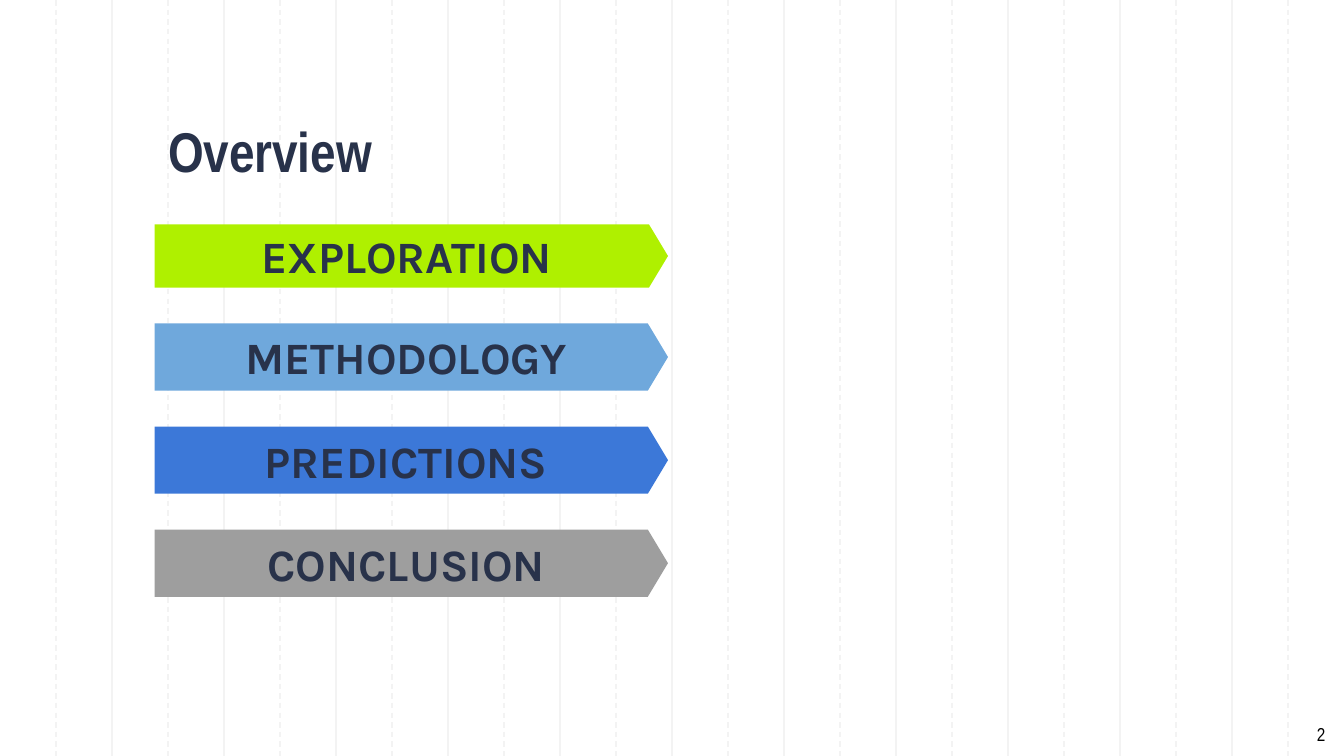
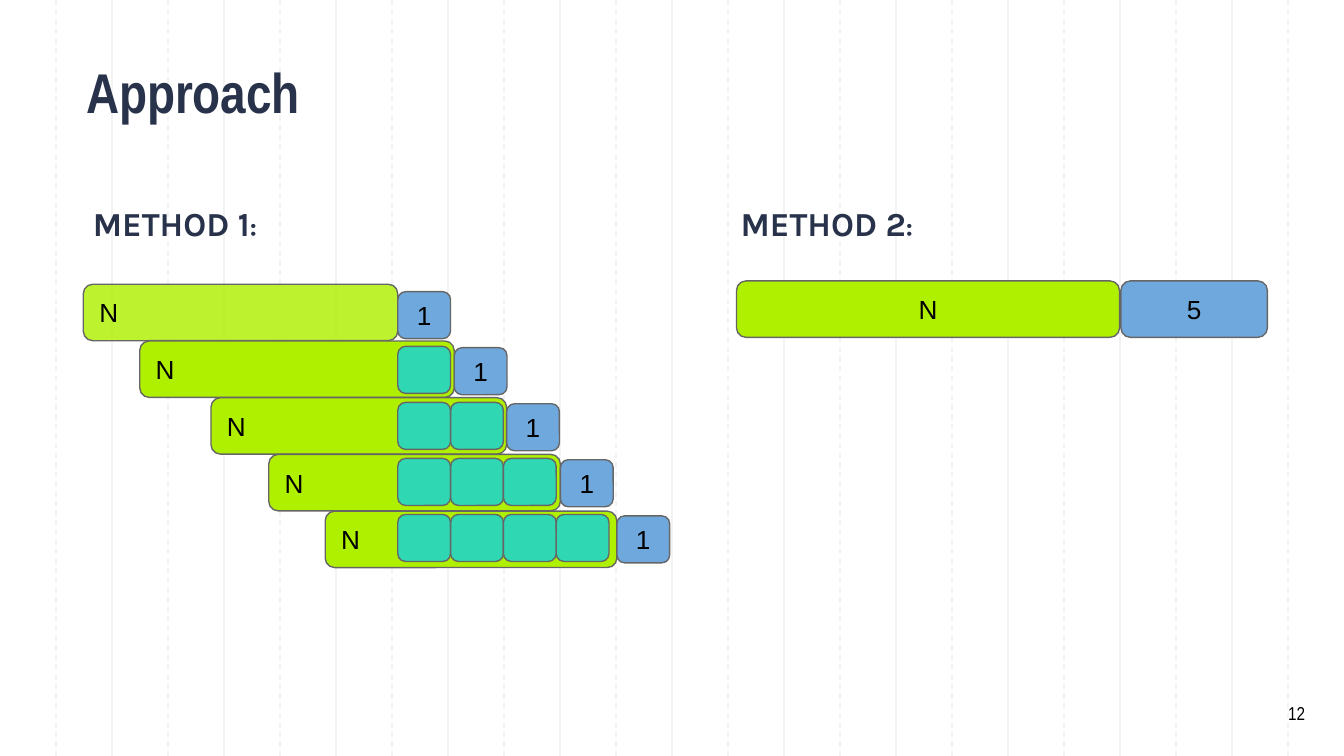
from lxml import etree
from pptx import Presentation
from pptx.dml.color import RGBColor
from pptx.enum.dml import MSO_LINE
from pptx.enum.shapes import MSO_CONNECTOR, MSO_SHAPE
from pptx.enum.text import MSO_ANCHOR, MSO_AUTO_SIZE, PP_ALIGN
from pptx.oxml.ns import qn
from pptx.util import Inches, Pt

COLORS = {
    "ink": "28324A", "black": "000000", "grid": "F3F3F3", "outline": "666666",
    "lime": "AFF000", "sky": "6FA8DC", "blue": "3C78D8", "gray": "9E9E9E",
    "cyan": "00CEF6",
}
HEAD_FONT, LABEL_FONT, BOX_FONT = "Arial Narrow", "Karla", "Arial"
CELL = Inches(0.1)  # the slide is 100 columns wide and 56.25 rows high
COLS, ROWS = 100, 56.25
LEFT, CENTER, RIGHT = PP_ALIGN.LEFT, PP_ALIGN.CENTER, PP_ALIGN.RIGHT
TOP, MIDDLE, BOTTOM = MSO_ANCHOR.TOP, MSO_ANCHOR.MIDDLE, MSO_ANCHOR.BOTTOM
BOX_H = 4.2
UNIT_W, UNIT_H = 3.93, 3.5


def rgb(name):
    return RGBColor.from_string(COLORS[name])


def cells(*lengths):
    return [round(n * CELL) for n in lengths]


def style_run(r, font, size, color="ink", bold=False):
    r.font.name, r.font.size, r.font.bold = font, Pt(size), bold
    r.font.color.rgb = rgb(color)


def write(sp, text, font, size, color="ink", bold=False, align=LEFT, anchor=TOP):
    """Fill a shape with one styled paragraph and return the paragraph."""
    tf = sp.text_frame
    tf.text = text
    tf.word_wrap, tf.auto_size = True, MSO_AUTO_SIZE.NONE
    tf.vertical_anchor = anchor
    tf.margin_left = tf.margin_right = tf.margin_top = tf.margin_bottom = CELL
    p = tf.paragraphs[0]
    p.alignment, p.space_before = align, Pt(0)
    style_run(p.runs[0], font, size, color, bold)
    return p


def move(sp, *area):
    sp.left, sp.top, sp.width, sp.height = cells(*area)


def add_title(s, text, *area):
    move(s.shapes.title, *area)
    write(s.shapes.title, text, HEAD_FONT, 30, bold=True, anchor=BOTTOM)


def add_heading(sp, text, x):
    """Turn a body placeholder into an unbulleted heading with a smaller colon."""
    move(sp, x, 14.1, 40.2, 5.3)
    p = write(sp, text, LABEL_FONT, 18, bold=True)
    r = p.add_run()
    r.text = ":"
    style_run(r, LABEL_FONT, 14, bold=True)
    pPr = p._p.get_or_add_pPr()
    pPr.set("marL", "0")
    pPr.set("indent", "0")
    etree.SubElement(pPr, qn("a:buNone"))


def add_page_number(s, number, x, y):
    sp = s.shapes.add_textbox(*cells(x, y, 6, 3.5))
    write(sp, str(number), HEAD_FONT, 10, "black", align=RIGHT)


def add_filled(s, kind, area, adj, fill, alpha=None):
    sp = s.shapes.add_shape(kind, *cells(*area))
    sp.shadow.inherit = False
    sp.adjustments[0] = adj
    sp.fill.solid()
    sp.fill.fore_color.rgb = rgb(fill)
    if alpha:
        color = sp.element.spPr.find(".//" + qn("a:srgbClr"))
        etree.SubElement(color, qn("a:alpha"), val=str(alpha * 1000))
    return sp


def add_banner(s, text, fill, y, h):
    sp = add_filled(s, MSO_SHAPE.PENTAGON, (11.5, y, 38.2, h), 0.3, fill)
    sp.line.fill.background()
    write(sp, text, LABEL_FONT, 24, bold=True, align=CENTER, anchor=MIDDLE)


def add_box(s, area, fill, text="", align=CENTER, alpha=None):
    sp = add_filled(s, MSO_SHAPE.ROUNDED_RECTANGLE, area, 0.167, fill, alpha)
    sp.line.color.rgb, sp.line.width = rgb("outline"), Pt(0.75)
    if text:
        write(sp, text, BOX_FONT, 14, "black", align=align, anchor=MIDDLE)


def add_master_grid(prs, s):
    """Draw 24 half columns, dashed at the odd ones, and move them to the master."""
    for i in range(1, 24):
        x = COLS * i / 24
        line = s.shapes.add_connector(MSO_CONNECTOR.STRAIGHT, *cells(x, 0, x, ROWS))
        line.line.color.rgb, line.line.width = rgb("grid"), Pt(0.75)
        if i % 2:
            line.line.dash_style = MSO_LINE.DASH
        etree.SubElement(line.element.spPr, qn("a:effectLst"))
        line.element.nvCxnSpPr.cNvPr.set("id", str(100 + i))
        prs.slide_master.shapes.element.insert(1 + i, line.element)


def build_overview(s):
    add_title(s, "Overview", 11.5, 6.9, 76.5, 7.8)
    banners = [("EXPLORATION", "lime", 4.7), ("METHODOLOGY", "sky", 5),
               ("PREDICTIONS", "blue", 5), ("CONCLUSION", "gray", 5)]
    for i, (text, fill, h) in enumerate(banners):
        add_banner(s, text, fill, 21.4 + 7.67 * i - h, h)
    add_page_number(s, 2, 93.6, 52.8)


def add_rolling_forecast(s):
    """Each step predicts one value and feeds it to the next step's window."""
    first_result = 29.6
    windows = [(6.2, 29.6), (10.4, 33.8), (15.7, 37.7), (20, 41.7), (24.2, 45.9)]
    for i, (start, end) in enumerate(windows):
        add_box(s, (start, 21.15 + 4.22 * i, end - start, BOX_H), "lime", "N",
                LEFT, None if i else 82)
        y = 21.7 + 4.17 * i
        add_box(s, (end, y, UNIT_W, UNIT_H), "sky", "1")
        for j in range(i):
            add_box(s, (first_result + UNIT_W * j, y - 0.1, UNIT_W, UNIT_H),
                    "cyan", alpha=73)


def build_approach(s):
    add_title(s, "Approach", 5.4, 2.5, 88.2, 7.8)
    for number, x in ((1, 5.9), (2, 54.1)):
        add_heading(s.placeholders[number], f"METHOD {number}", x)
    add_rolling_forecast(s)
    add_box(s, (54.8, 20.9, 28.5, BOX_H), "lime", "N")
    add_box(s, (83.4, 20.9, 10.9, BOX_H), "sky", "5")
    add_page_number(s, 12, 92.1, 51.2)


def main():
    prs = Presentation()
    prs.slide_width, prs.slide_height = cells(COLS, ROWS)
    overview = prs.slides.add_slide(prs.slide_layouts.get_by_name("Title Only"))
    add_master_grid(prs, overview)
    build_overview(overview)
    build_approach(prs.slides.add_slide(prs.slide_layouts.get_by_name("Two Content")))
    prs.save("out.pptx")


if __name__ == "__main__":
    main()
